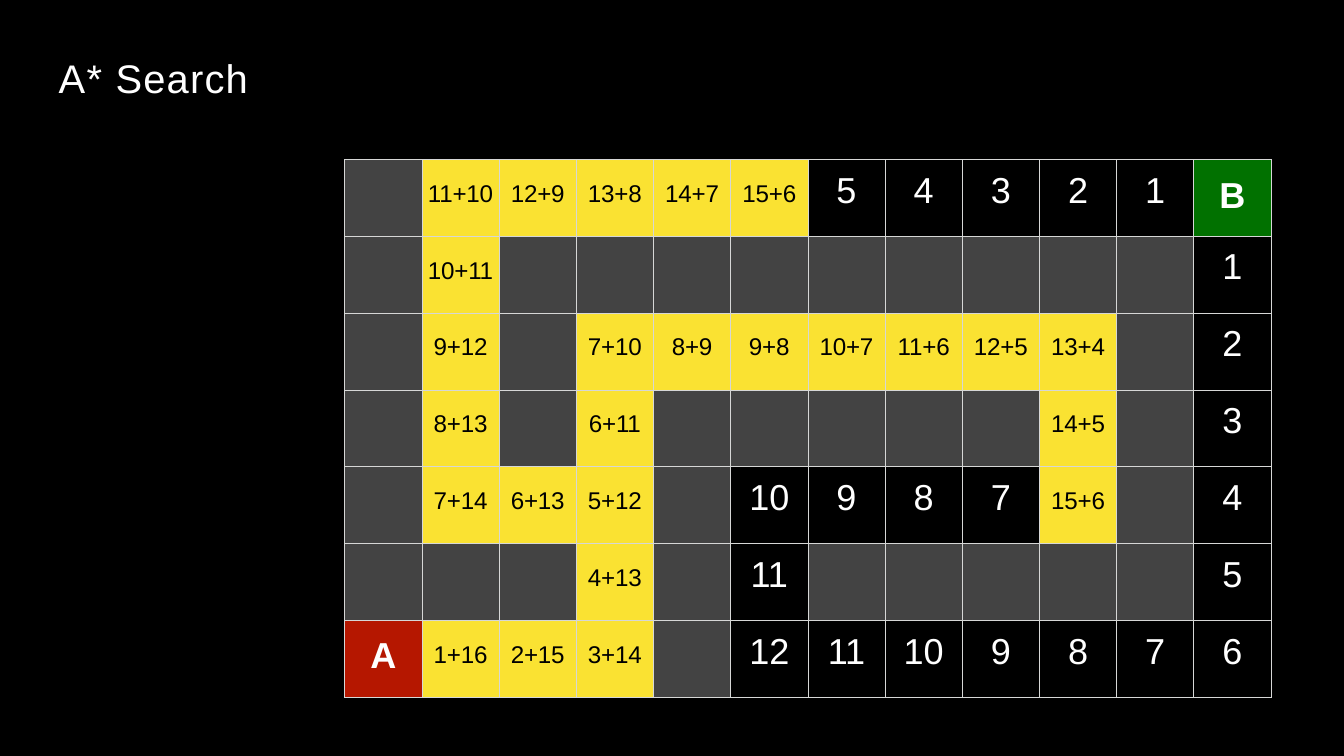
from dataclasses import dataclass

from lxml.etree import SubElement
from pptx import Presentation
from pptx.dml.color import RGBColor as Color
from pptx.enum.text import MSO_ANCHOR as Anchor, MSO_AUTO_SIZE as AutoSize, PP_ALIGN as Align
from pptx.oxml.ns import qn
from pptx.util import Inches, Pt

SLIDE_SIZE = Inches(21.99), Inches(12.37)
TITLE_ONLY = 5
TITLE_AREA = 4.37, 6.95, 14.32, 6.55
MAZE_AREA = 25.65, 21.1, 68.94, 71.14
WALL = "#"
MAZE = [row.split() for row in (
    "# 11+10 12+9 13+8 14+7 15+6 5 4 3 2 1 B",
    "# 10+11 # # # # # # # # # 1",
    "# 9+12 # 7+10 8+9 9+8 10+7 11+6 12+5 13+4 # 2",
    "# 8+13 # 6+11 # # # # # 14+5 # 3",
    "# 7+14 6+13 5+12 # 10 9 8 7 15+6 # 4",
    "# # # 4+13 # 11 # # # # # 5",
    "A 1+16 2+15 3+14 # 12 11 10 9 8 7 6",
)]


@dataclass(frozen=True)
class Style:
    """Look of one kind of text and its cell."""
    fill: str
    text: str = "FFFFFF"
    size: float = 42.5
    bold: bool = False
    top: float = 0.18
    tracking: int = 0


@dataclass(frozen=True)
class Theme:
    """Colours and type sizes of the slide."""
    font: str = "Arial"
    border: str = "D6D7D6"
    title: Style = Style("000000", size=47, top=0.01, tracking=145)
    wall: Style = Style("434343")
    unexplored: Style = Style("000000")
    explored: Style = Style("FAE232", text="000000", size=28.5, top=0.34, tracking=-20)
    start: Style = Style("B51700", bold=True, top=0.25)
    goal: Style = Style("017100", bold=True, top=0.26)


THEME = Theme()


def apply(target, values):
    """Set every attribute named in values on the target."""
    for name, value in values.items():
        setattr(target, name, value)


def place(area):
    """Turn percentages of the slide into left, top, width and height."""
    return [round(SLIDE_SIZE[i % 2] * share / 100) for i, share in enumerate(area)]


def paint(fill, color):
    """Give a fill one solid colour."""
    fill.solid()
    fill.fore_color.rgb = Color.from_string(color)


def write(frame, text, style, alignment):
    """Write one styled line into a text frame."""
    paragraph = frame.paragraphs[0]
    paragraph.alignment = alignment
    run = paragraph.add_run()
    run.text = text
    apply(run.font, {"name": THEME.font, "size": Pt(style.size), "bold": style.bold})
    run.font.color.rgb = Color.from_string(style.text)
    run.font._element.set("spc", str(style.tracking))


def margins(style):
    """Return insets that leave room only above the text."""
    return {"margin_left": 0, "margin_top": Inches(style.top), "margin_right": 0, "margin_bottom": 0}


def add_title(slide, text):
    """Format and fill the title placeholder."""
    title = slide.shapes.title
    apply(title, dict(zip(("left", "top", "width", "height"), place(TITLE_AREA))))
    frame = title.text_frame
    apply(frame, margins(THEME.title) | {
        "word_wrap": True, "auto_size": AutoSize.SHAPE_TO_FIT_TEXT, "vertical_anchor": Anchor.TOP})
    write(frame, text, THEME.title, Align.LEFT)


def choose_style(label):
    """Pick the style of a maze cell from its label."""
    named = {WALL: THEME.wall, "A": THEME.start, "B": THEME.goal}
    return named.get(label, THEME.explored if "+" in label else THEME.unexplored)


def add_borders(cell):
    """Draw a thin line on each side of a cell."""
    properties = cell._tc.get_or_add_tcPr()
    for side in ("a:lnL", "a:lnR", "a:lnT", "a:lnB"):
        line = SubElement(properties, qn(side), w=str(Pt(1)))
        solid = SubElement(line, qn("a:solidFill"))
        SubElement(solid, qn("a:srgbClr"), val=THEME.border)


def fill_cell(cell, label):
    """Style one maze cell and write its label."""
    style = choose_style(label)
    apply(cell, margins(style))
    add_borders(cell)
    paint(cell.fill, style.fill)
    if label != WALL:
        write(cell.text_frame, label, style, Align.CENTER)


def add_maze(slide):
    """Add the maze as a table of equal cells."""
    table = slide.shapes.add_table(len(MAZE), len(MAZE[0]), *place(MAZE_AREA)).table
    apply(table, {"first_row": False, "horz_banding": False})
    for row, labels in zip(table.rows, MAZE):
        for cell, label in zip(row.cells, labels):
            fill_cell(cell, label)


def main():
    """Build and save the slide."""
    presentation = Presentation()
    apply(presentation, dict(zip(("slide_width", "slide_height"), SLIDE_SIZE)))
    slide = presentation.slides.add_slide(presentation.slide_layouts[TITLE_ONLY])
    paint(slide.background.fill, THEME.title.fill)
    add_maze(slide)
    add_title(slide, "A* Search")
    presentation.save("out.pptx")


if __name__ == "__main__":
    main()
